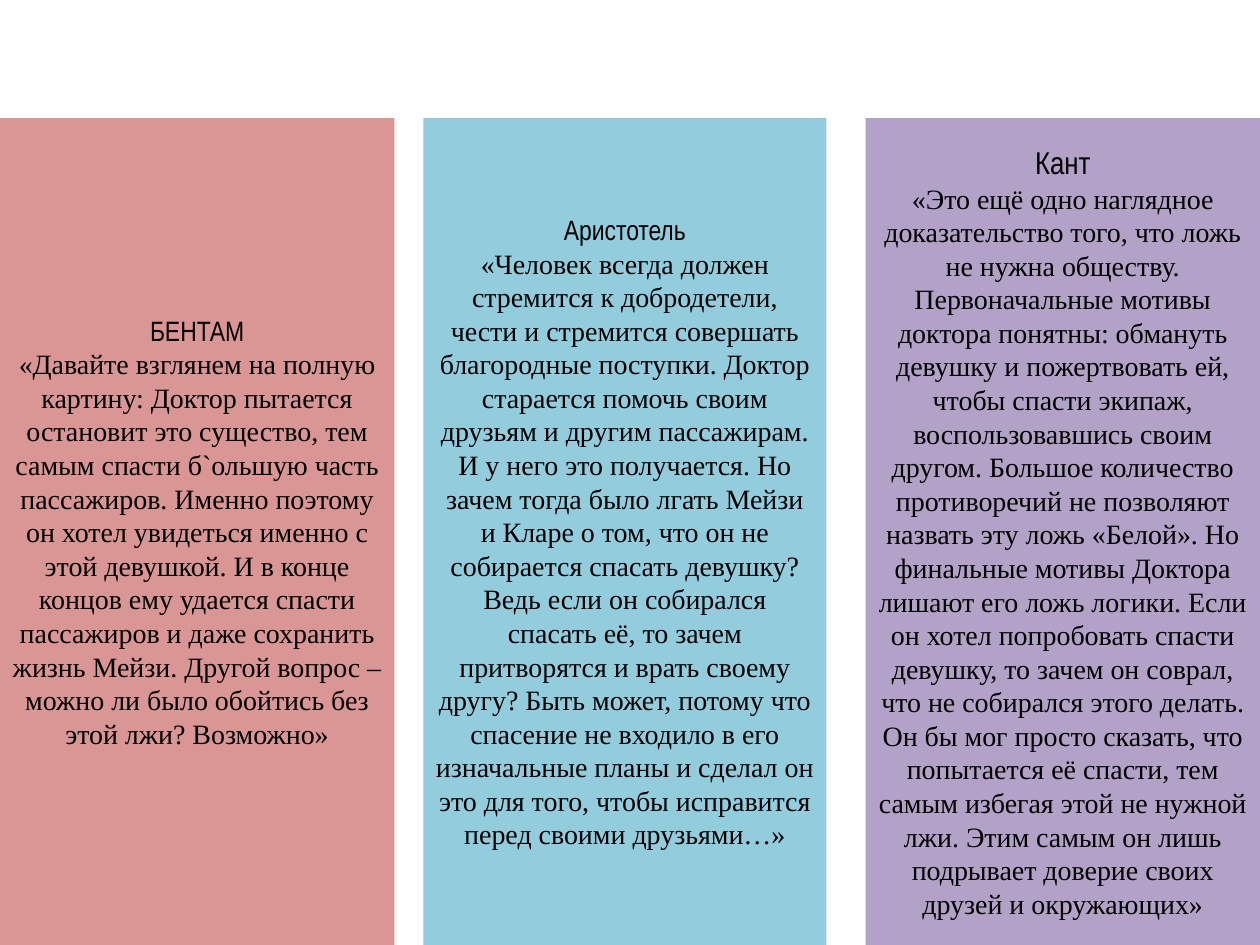
from pptx import Presentation
from pptx import util as u
from pptx.dml.color import RGBColor
from pptx.enum import shapes, text

BLACK = RGBColor(0x00, 0x00, 0x00)
ROSE = RGBColor(0xD9, 0x96, 0x94)
AQUA = RGBColor(0x93, 0xCD, 0xDD)
LILAC = RGBColor(0xB3, 0xA2, 0xC7)

NAME_FONT = "Arial Narrow"
BODY_FONT = "Times New Roman"
WIDTH, HEIGHT = 10, 7.5
PANEL_TOP = HEIGHT / 8
SIDE_WIDTH = 3.13

# Left, width, fill, philosopher, size of the name, opinion
PANELS = [
    (0, SIDE_WIDTH, ROSE, "БЕНТАМ", 16,
     "«Давайте взглянем на полную картину: Доктор пытается остановит это "
     "существо, тем самым спасти б`ольшую часть пассажиров. Именно поэтому он "
     "хотел увидеться именно с этой девушкой. И в конце концов ему удается "
     "спасти пассажиров и даже сохранить жизнь Мейзи. Другой вопрос – можно ли "
     "было обойтись без этой лжи? Возможно»"),
    (3.36, 3.2, AQUA, "Аристотель", 16,
     "«Человек всегда должен стремится к добродетели, чести и стремится "
     "совершать благородные поступки. Доктор старается помочь своим друзьям и "
     "другим пассажирам. И у него это получается. Но зачем тогда было лгать "
     "Мейзи и Кларе о том, что он не собирается спасать девушку? Ведь если он "
     "собирался спасать её, то зачем притворятся и врать своему другу? Быть "
     "может, потому что спасение не входило в его изначальные планы и сделал он "
     "это для того, чтобы исправится перед своими друзьями…»"),
    (WIDTH - SIDE_WIDTH, SIDE_WIDTH, LILAC, "Кант", 18,
     "«Это ещё одно наглядное доказательство того, что ложь не нужна обществу. "
     "Первоначальные мотивы доктора понятны: обмануть девушку и пожертвовать "
     "ей, чтобы спасти экипаж, воспользовавшись своим другом. Большое "
     "количество противоречий не позволяют назвать эту ложь «Белой». Но "
     "финальные мотивы Доктора лишают его ложь логики. Если он хотел "
     "попробовать спасти девушку, то зачем он соврал, что не собирался этого "
     "делать. Он бы мог просто сказать, что попытается её спасти, тем самым "
     "избегая этой не нужной лжи. Этим самым он лишь подрывает доверие своих "
     "друзей и окружающих»"),
]


def format_paragraph(paragraph, words, font, size):
    paragraph.text = words
    paragraph.alignment = text.PP_ALIGN.CENTER
    paragraph.font.name = font
    paragraph.font.size = u.Pt(size)
    paragraph.font.color.rgb = BLACK


def add_panel(page, left, width, fill, name, name_size, opinion):
    panel = page.shapes.add_shape(
        shapes.MSO_SHAPE.RECTANGLE, u.Inches(left), u.Inches(PANEL_TOP),
        u.Inches(width), u.Inches(HEIGHT - PANEL_TOP))
    panel.shadow.inherit = False
    panel.fill.solid()
    panel.fill.fore_color.rgb = fill
    panel.line.fill.background()
    frame = panel.text_frame
    frame.word_wrap = True
    frame.vertical_anchor = text.MSO_ANCHOR.MIDDLE
    format_paragraph(frame.paragraphs[0], name, NAME_FONT, name_size)
    format_paragraph(frame.add_paragraph(), opinion, BODY_FONT, 16)


def main():
    deck = Presentation()
    deck.slide_width, deck.slide_height = u.Inches(WIDTH), u.Inches(HEIGHT)
    page = deck.slides.add_slide(deck.slide_layouts[6])

    # One column for each philosopher
    for panel in PANELS:
        add_panel(page, *panel)

    deck.save("out.pptx")


if __name__ == "__main__":
    main()
